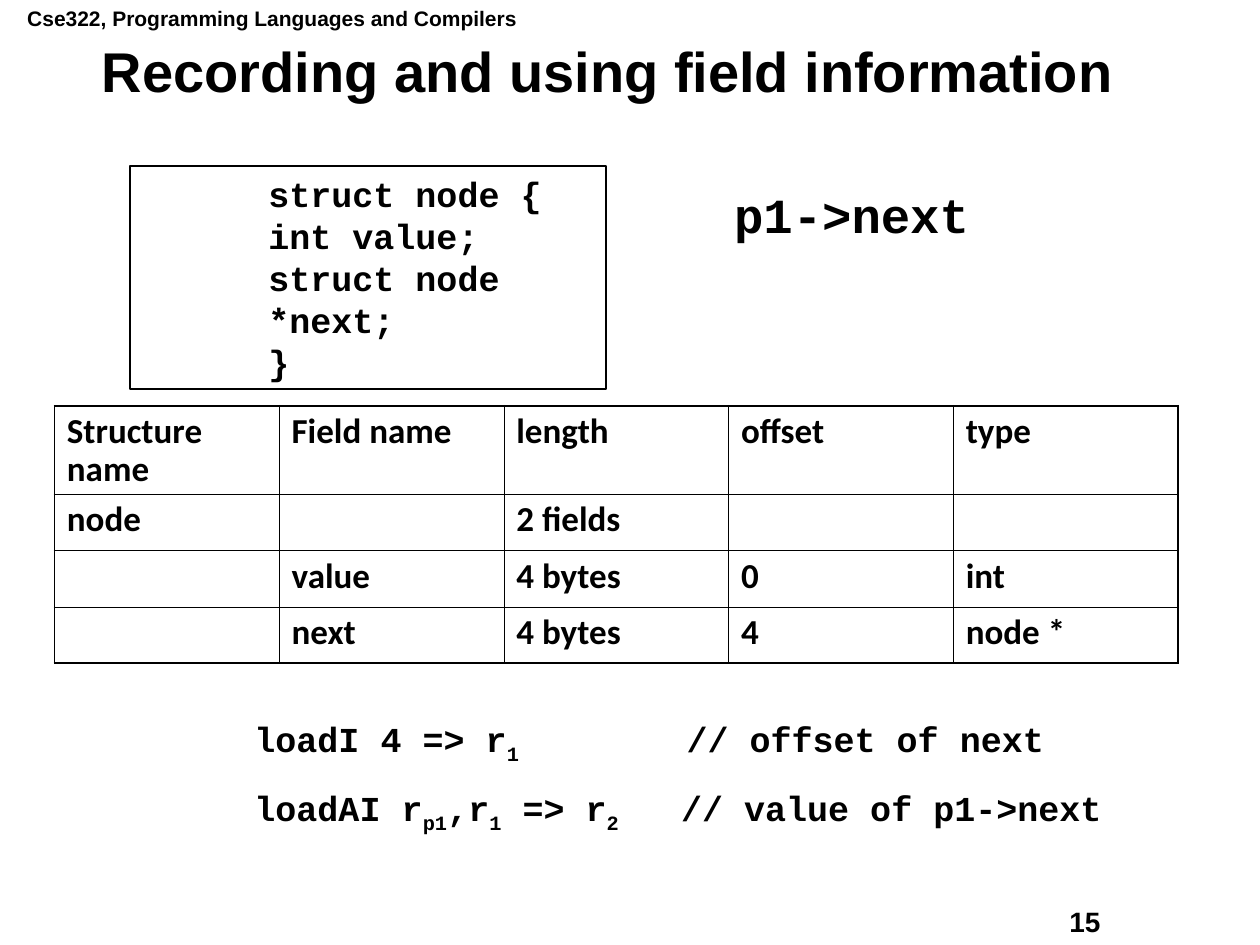
import pptx
import pptx.dml.color
import pptx.enum.shapes
import pptx.enum.text
import pptx.oxml.ns
import pptx.util
from lxml import etree
from pptx.util import Cm, Pt

BLACK = "000000"
WHITE = "FFFFFF"
COURIER = "Courier New"

COURSE = "Cse322, Programming Languages and Compilers"
TITLE = "Recording and using field information"
PAGE = "15"
STRUCT_CODE = ["struct node {", "int value;", "struct node *next;", "}"]
EXPRESSION = "p1->next"
FIELD_TABLE = [
    ["Structure name", "Field name", "length", "offset", "type"],
    ["node", "", "2 fields", "", ""],
    ["", "value", "4 bytes", "0", "int"],
    ["", "next", "4 bytes", "4", "node *"],
]
COLUMN_WIDTH = 4.53
ROW_HEIGHTS = [1.78, 1.14, 1.14, 1.12]
# Each instruction: pieces alternate between baseline and subscript,
# then the comment and the place of the tab stop before it.
INSTRUCTIONS = [
    (["loadI 4 => r", "1"], "// offset of next", 8.71),
    (["loadAI r", "p1", ",r", "1", " => r", "2"], "// value of p1->next", 8.6),
]


def color(value):
    return pptx.dml.color.RGBColor.from_string(value)


def add_run(paragraph, text, size, name="Arial", subscript=False):
    run = paragraph.add_run()
    run.text = text
    run.font.size = Pt(size)
    run.font.name = name
    run.font.bold = True
    run.font.color.rgb = color(BLACK)
    if subscript:
        run.font._element.set("baseline", "-25000")


def set_margins(frame):
    frame.margin_left = frame.margin_right = Cm(0.25)
    frame.margin_top = frame.margin_bottom = Cm(0.13)


def add_text_box(slide, left, top, width, height, wrap=True):
    frame = slide.shapes.add_textbox(Cm(left), Cm(top), Cm(width), Cm(height)).text_frame
    set_margins(frame)
    frame.word_wrap = wrap
    return frame


def next_paragraph(frame, index):
    return frame.add_paragraph() if index else frame.paragraphs[0]


def add_tab_stop(paragraph, position):
    tag = pptx.oxml.ns.qn
    tabs = etree.SubElement(paragraph._p.get_or_add_pPr(), tag("a:tabLst"))
    etree.SubElement(tabs, tag("a:tab"), pos=str(Cm(position)), algn="l")


def set_borders(cell, widths):
    """Draw black cell borders; widths maps each side (L, R, T, B) to points."""
    tag = pptx.oxml.ns.qn
    properties = cell._tc.get_or_add_tcPr()
    for index, side in enumerate("LRTB"):
        line = etree.Element(tag("a:ln" + side), w=str(Pt(widths[side])))
        fill = etree.SubElement(line, tag("a:solidFill"))
        etree.SubElement(fill, tag("a:srgbClr"), val=BLACK)
        properties.insert(index, line)


def add_struct_box(slide):
    box = slide.shapes.add_shape(
        pptx.enum.shapes.MSO_SHAPE.RECTANGLE, Cm(2.62), Cm(3.35), Cm(9.6), Cm(4.5))
    box.shadow.inherit = False
    box.fill.background()
    box.line.color.rgb = color(BLACK)
    box.line.width = Pt(1)
    frame = box.text_frame
    set_margins(frame)
    frame.word_wrap = True
    frame.vertical_anchor = pptx.enum.text.MSO_ANCHOR.TOP
    for index, code_line in enumerate(STRUCT_CODE):
        paragraph = next_paragraph(frame, index)
        paragraph.alignment = pptx.enum.text.PP_ALIGN.LEFT
        properties = paragraph._p.get_or_add_pPr()
        properties.set("marL", str(Cm(2.54)))
        properties.set("indent", "0")
        add_run(paragraph, code_line, 20, COURIER)


def add_field_table(slide):
    row_count, column_count = len(FIELD_TABLE), len(FIELD_TABLE[0])
    table = slide.shapes.add_table(
        row_count, column_count, Cm(1.1), Cm(8.18),
        Cm(COLUMN_WIDTH * column_count), Cm(sum(ROW_HEIGHTS))).table
    table.first_row = table.horz_banding = False
    for column in table.columns:
        column.width = Cm(COLUMN_WIDTH)
    for r, texts in enumerate(FIELD_TABLE):
        table.rows[r].height = Cm(ROW_HEIGHTS[r])
        for c, text in enumerate(texts):
            cell = table.cell(r, c)
            cell.fill.background()
            set_margins(cell)
            outer = {"L": c == 0, "R": c == column_count - 1,
                     "T": r == 0, "B": r == row_count - 1}
            set_borders(cell, {side: 1.08 if edge else 0.45 for side, edge in outer.items()})
            if text:
                paragraph = cell.text_frame.paragraphs[0]
                paragraph.line_spacing = 0.9
                add_run(paragraph, text, 20, "Calibri")


def add_instructions(slide):
    frame = add_text_box(slide, 4.88, 14.33, 19.2, 2.62)
    for index, (pieces, comment, tab) in enumerate(INSTRUCTIONS):
        paragraph = next_paragraph(frame, index)
        if index:
            paragraph.space_before = Pt(12.5)
        add_tab_stop(paragraph, tab)
        for position, piece in enumerate(pieces):
            add_run(paragraph, piece, 20, COURIER, subscript=position % 2 == 1)
        add_run(paragraph, "\t" + comment, 20, COURIER)


def main():
    presentation = pptx.Presentation()
    presentation.slide_width, presentation.slide_height = Cm(25.4), Cm(19.05)
    slide = presentation.slides.add_slide(presentation.slide_layouts[6])
    slide.background.fill.solid()
    slide.background.fill.fore_color.rgb = color(WHITE)

    course = add_text_box(slide, 0.3, -0.02, 10.4, 0.76, wrap=False)
    add_run(course.paragraphs[0], COURSE, 12)
    page = add_text_box(slide, 21.31, 18.11, 3.23, 0.91, wrap=False)
    add_run(page.paragraphs[0], PAGE, 16)

    title = add_text_box(slide, 0.79, 0.79, 22.94, 1.42)
    title.vertical_anchor = pptx.enum.text.MSO_ANCHOR.MIDDLE
    title.paragraphs[0].alignment = pptx.enum.text.PP_ALIGN.CENTER
    title.paragraphs[0].line_spacing = 0.9
    add_run(title.paragraphs[0], TITLE, 32)

    add_field_table(slide)
    add_struct_box(slide)
    expression = add_text_box(slide, 14.55, 3.58, 7.62, 1.45)
    add_run(expression.paragraphs[0], EXPRESSION, 28, COURIER)
    add_instructions(slide)
    presentation.save("out.pptx")


if __name__ == "__main__":
    main()
